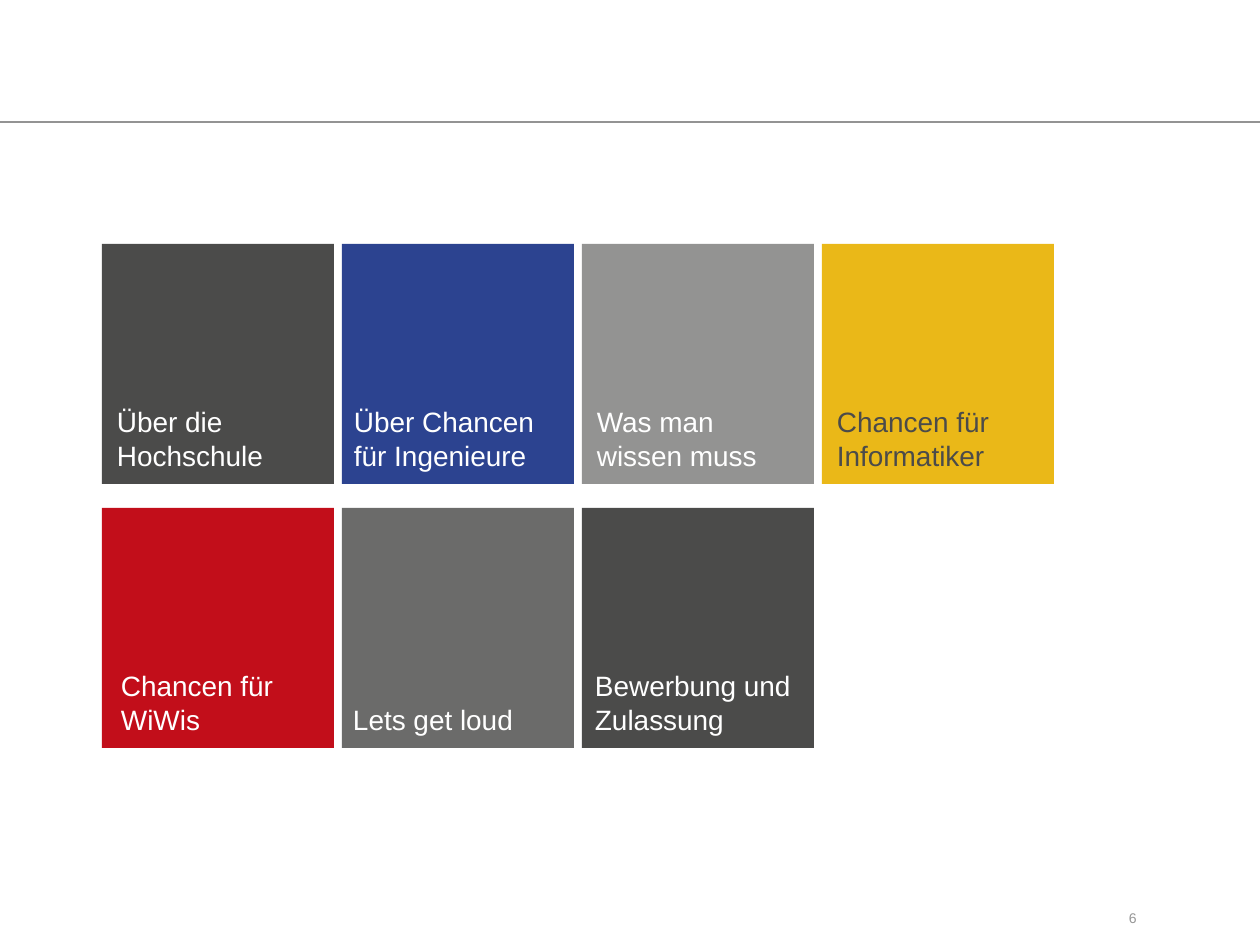
from lxml import etree
from pptx import Presentation
from pptx import util as u
from pptx.dml.color import RGBColor
from pptx.enum import shapes, text
from pptx.oxml.ns import qn

COLORS = {
    "white": "FFFFFF", "dark": "4B4B4A", "blue": "2C4390", "yellow": "EAB818",
    "red": "C20E1A", "rule": "4C4C4C", "number": "969696",
}
COLUMNS = 4
TILE_WIDTH, TILE_HEIGHT = 232, 240
STEP_X, STEP_Y = 240, 264
# fill, opacity, label, label colour, label shift, label width, label height
TILES = [
    ("dark", 100, "Über die Hochschule", "white", 0, 223, 127),
    ("blue", 100, "Über Chancen für Ingenieure", "white", -3, 224, 202),
    ("dark", 60, "Was man \vwissen muss", "white", 0, 253, 202),
    ("yellow", 100, "Chancen für Informatiker", "dark", 0, 232, 210),
    ("red", 100, "Chancen für WiWis", "white", 4, 232, 71),
    ("dark", 82, "Lets get loud", "white", -4, 234, 202),
    ("dark", 100, "Bewerbung und Zulassung", "white", -2, 233, 202),
]


def px(length):
    """Turn pixels at 126 to the inch into EMU."""
    return u.Emu(round(length * 914400 / 126))


def paint(fill, color, opacity=100):
    """Fill with a named colour at an opacity in percent."""
    fill.solid()
    fill.fore_color.rgb = RGBColor.from_string(COLORS[color])
    if opacity < 100:
        for element in fill._xPr.iter(qn("a:srgbClr")):
            etree.SubElement(element, qn("a:alpha"), val=str(opacity * 1000))


def add_text(slide, box, words, color, size, insets=(0, 0, 0, 0), anchor=text.MSO_ANCHOR.TOP):
    """Add a wrapped text box with one paragraph."""
    frame = slide.shapes.add_textbox(*map(px, box)).text_frame
    frame.word_wrap = True
    frame.vertical_anchor = anchor
    frame.margin_left, frame.margin_top, frame.margin_right, frame.margin_bottom = map(px, insets)
    paragraph = frame.paragraphs[0]
    paragraph.text = words
    paragraph.font.name = "Arial"
    paragraph.font.size = u.Pt(size)
    paragraph.font.color.rgb = RGBColor.from_string(COLORS[color])


def add_rule(slide, left, top, width):
    """Draw the thin horizontal header line."""
    line = slide.shapes.add_connector(
        shapes.MSO_CONNECTOR.STRAIGHT, px(left), px(top), px(left + width), px(top))
    line.line.width = u.Pt(1.1)
    paint(line.line.fill, "rule", 60)
    etree.SubElement(line._element.spPr, qn("a:effectLst"))


def add_tile(slide, left, top, tile):
    """Draw one coloured tile with its label at the bottom."""
    fill, opacity, words, color, shift, width, height = tile
    shape = slide.shapes.add_shape(
        shapes.MSO_SHAPE.RECTANGLE, *map(px, (left, top, TILE_WIDTH, TILE_HEIGHT)))
    shape.shadow.inherit = False
    shape.line.fill.background()
    paint(shape.fill, fill, opacity)
    label_top = top + TILE_HEIGHT - 6 - height
    add_text(slide, (left + shift, label_top, width, height), words, color, 16,
             (15, 0, 13, 6), text.MSO_ANCHOR.BOTTOM)


def add_tiles(slide, left, top):
    """Lay the tiles out in a grid, row by row."""
    for index, tile in enumerate(TILES):
        row, column = divmod(index, COLUMNS)
        add_tile(slide, left + column * STEP_X, top + row * STEP_Y, tile)


def main():
    """Build and save the presentation."""
    presentation = Presentation()
    presentation.slide_width, presentation.slide_height = px(1260), px(945)
    slide = presentation.slides.add_slide(presentation.slide_layouts[6])
    add_rule(slide, 0, 122, 1260)
    add_text(slide, (1129, 910, 101, 35), "6", "number", 8)
    add_tiles(slide, 102, 244)
    presentation.save("out.pptx")


if __name__ == "__main__":
    main()
